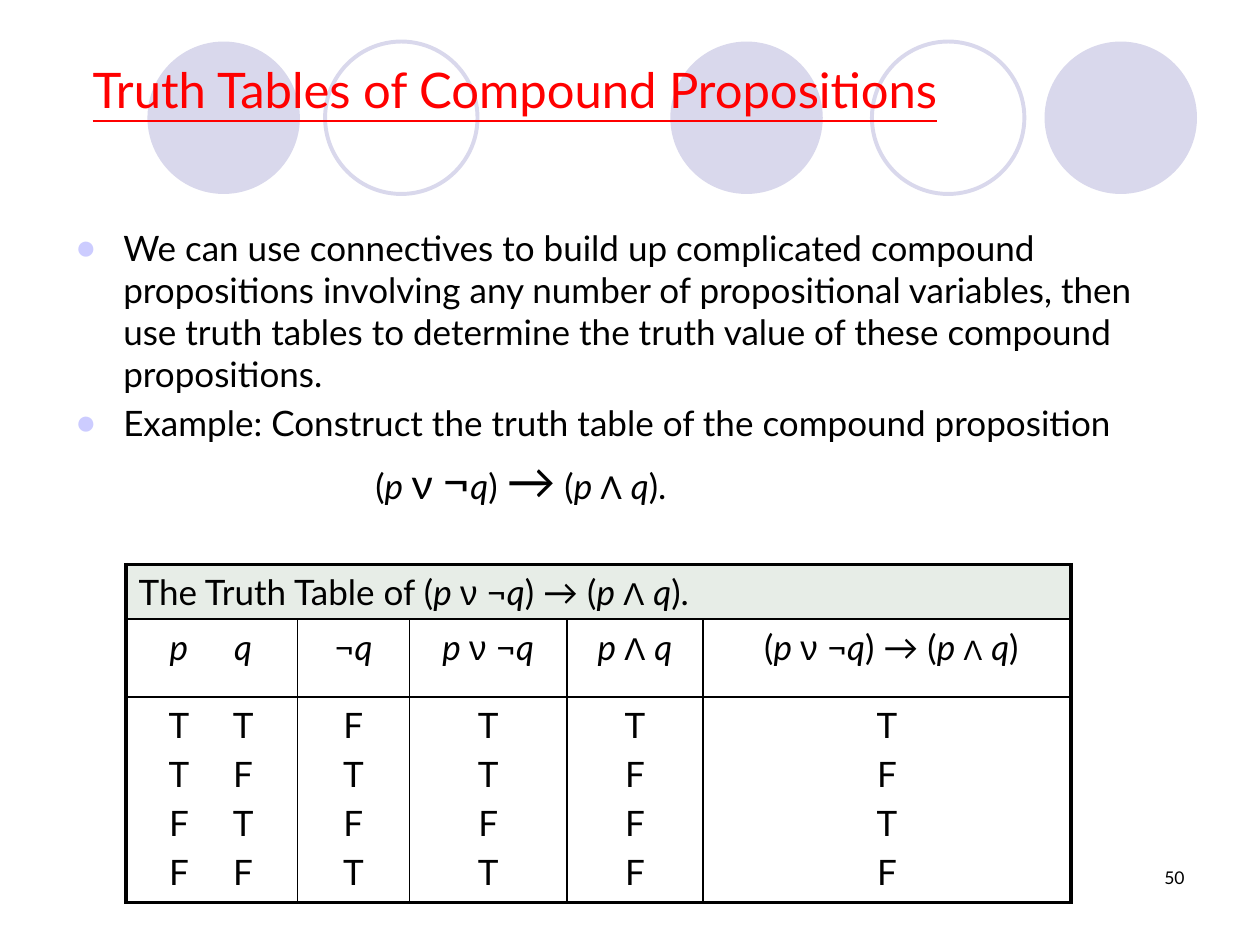
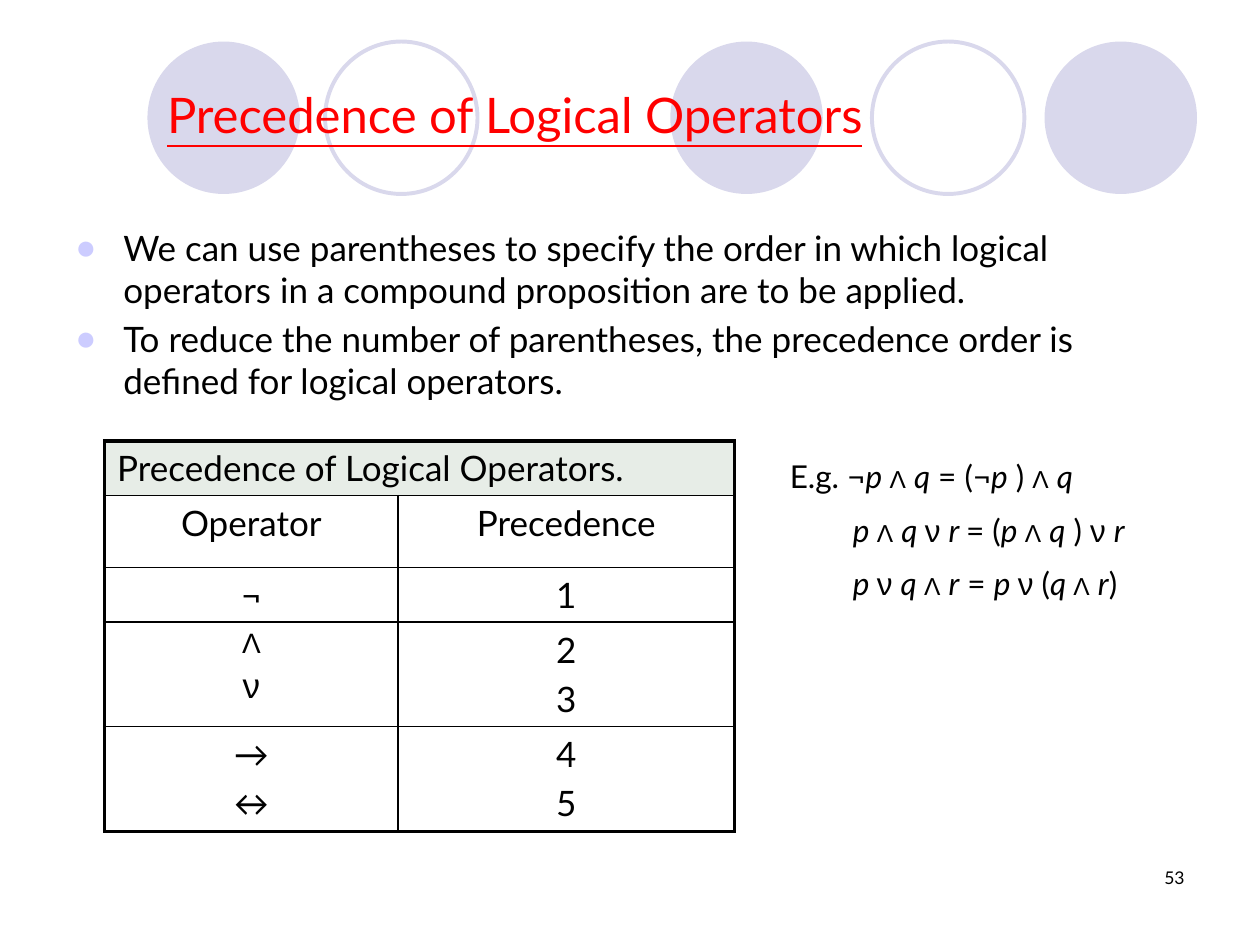
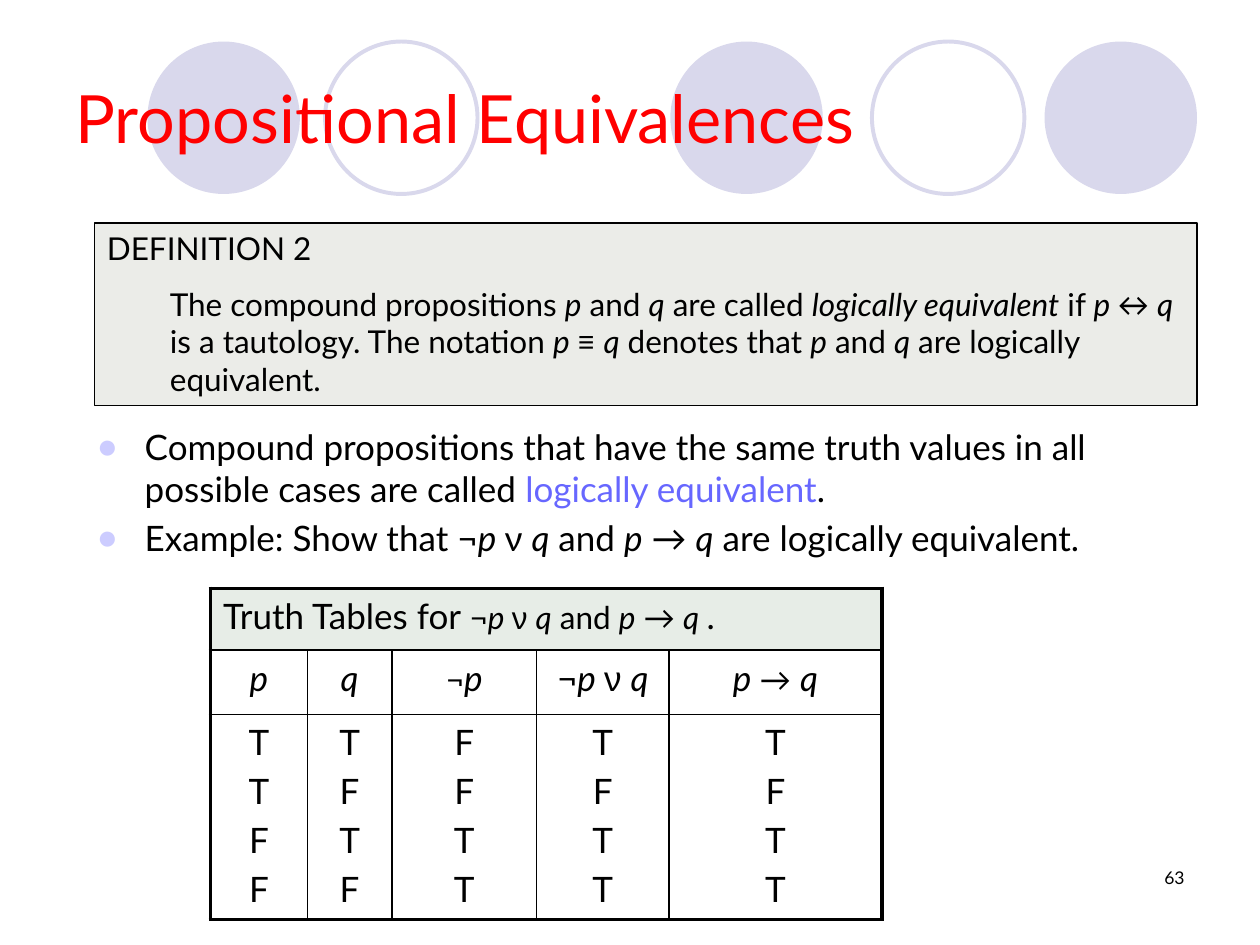
from dataclasses import dataclass
from itertools import groupby

from lxml import etree
from pptx import Presentation
from pptx.dml.color import RGBColor
from pptx.enum.shapes import MSO_SHAPE
from pptx.enum.text import MSO_ANCHOR, PP_ALIGN
from pptx.oxml.ns import qn
from pptx.util import Inches, Pt

LEFT, CENTER, RIGHT = PP_ALIGN.LEFT, PP_ALIGN.CENTER, PP_ALIGN.RIGHT
TOP, MIDDLE = MSO_ANCHOR.TOP, MSO_ANCHOR.MIDDLE
OVAL, RECTANGLE = MSO_SHAPE.OVAL, MSO_SHAPE.RECTANGLE
TITLE_ONLY = 5


@dataclass(frozen=True)
class Theme:
    font: str = "Lato"
    symbol_font: str = "Arial"
    ink: str = "000000"
    title: str = "FF0000"
    circle: str = "D9D8EC"
    bullet: str = "CCCCFF"
    accent: str = "6767FF"
    caption_fill: str = "E7EDE7"
    definition_fill: str = "EBECE8"
    large_title_size: int = 38
    title_size: int = 28
    body_size: int = 20
    note_size: int = 18
    number_size: int = 10
    small_step: int = 2
    outer_line: float = 2.25
    inner_line: float = 1
    definition_line: float = 0.75


THEME = Theme()
ITALIC, SMALL, ACCENT = "*", "~", "^"
TABLE_SYMBOLS = {"Λ": (THEME.symbol_font, -2), "ν": (THEME.symbol_font, 0)}
DISPLAY_SYMBOLS = {"Λ": (THEME.font, -2), "ν": (THEME.font, 4),
                   "¬": (THEME.font, 8), "→": (THEME.font, 8)}


def rgb(color):
    return RGBColor.from_string(color)


def add_child(parent, tag, **attributes):
    return etree.SubElement(parent, qn(tag), attributes)


def styled_characters(markup, symbols):
    active = set()
    for character in markup:
        if character in (ITALIC, SMALL, ACCENT):
            active ^= {character}
        else:
            font, step = symbols.get(character, (THEME.font, 0))
            step -= THEME.small_step if SMALL in active else 0
            yield character, (font, step, ITALIC in active, ACCENT in active)


def add_runs(paragraph, markup, size=THEME.body_size, color=THEME.ink, symbols=None):
    characters = styled_characters(markup, symbols or {})
    for (font, step, italic, accent), group in groupby(characters, lambda pair: pair[1]):
        run = paragraph.add_run()
        run.text = "".join(character for character, _ in group)
        run.font.name = font
        run.font.size = Pt(size + step)
        run.font.italic = italic
        run.font.color.rgb = rgb(THEME.accent if accent else color)


def paragraphs(frame, lines, space=0):
    for index, line in enumerate(lines):
        paragraph = frame.add_paragraph() if index else frame.paragraphs[0]
        if index:
            paragraph.space_before = Pt(space)
        yield paragraph, line


def indent(paragraph, margin, first=0):
    properties = paragraph._p.get_or_add_pPr()
    properties.set("marL", str(Inches(margin)))
    properties.set("indent", str(Inches(first)))
    return properties


def add_bullet(paragraph):
    properties = indent(paragraph, 0.38, -0.38)
    add_child(add_child(properties, "a:buClr"), "a:srgbClr", val=THEME.bullet)
    add_child(properties, "a:buFont", typeface=THEME.symbol_font)
    add_child(properties, "a:buChar", char="●")


def add_center_tabs(paragraph, stops):
    tabs = add_child(paragraph._p.get_or_add_pPr(), "a:tabLst")
    for stop in stops:
        add_child(tabs, "a:tab", pos=str(Inches(stop)), algn="ctr")


def add_text_frame(slide, box):
    frame = slide.shapes.add_textbox(*map(Inches, box)).text_frame
    frame.word_wrap = True
    return frame


def add_circle_band(slide, layout, left=1.17, top=0.33, diameter=1.21):
    for placeholder in list(layout.placeholders):
        if placeholder.placeholder_format.idx:
            layout.shapes.element.remove(placeholder.element)
    band = slide.shapes.add_group_shape()
    circles = [(0, True), (1.41, False), (4.15, True), (5.75, False), (7.12, True)]
    for offset, solid in circles:
        circle = band.shapes.add_shape(OVAL, Inches(left + offset), Inches(top),
                                       Inches(diameter), Inches(diameter))
        circle.shadow.inherit = False
        if solid:
            circle.fill.solid()
            circle.fill.fore_color.rgb = rgb(THEME.circle)
            circle.line.fill.background()
        else:
            circle.fill.background()
            circle.line.color.rgb = rgb(THEME.circle)
            circle.line.width = Pt(THEME.outer_line)
    layout.shapes.element.insert(2, band.element)


def set_title(slide, box, text, size=THEME.title_size, underline=True,
              align=CENTER, anchor=TOP):
    title = slide.shapes.title
    title.left, title.top, title.width, title.height = map(Inches, box)
    frame = title.text_frame
    frame.word_wrap = True
    frame.vertical_anchor = anchor
    paragraph = frame.paragraphs[0]
    paragraph.alignment = align
    add_runs(paragraph, text, size, THEME.title)
    paragraph.runs[0].font.underline = underline


def add_page_number(slide, number):
    paragraph = add_text_frame(slide, (7.17, 6.83, 2.33, 0.5)).paragraphs[0]
    paragraph.alignment = RIGHT
    add_runs(paragraph, number, THEME.number_size)


def add_body(slide, box, bullets, formula=None):
    frame = add_text_frame(slide, box)
    for paragraph, line in paragraphs(frame, bullets, 4):
        add_bullet(paragraph)
        add_runs(paragraph, line)
    if formula:
        paragraph = frame.add_paragraph()
        paragraph.space_before = Pt(4)
        indent(paragraph, 2.38)
        add_runs(paragraph, formula, symbols=DISPLAY_SYMBOLS)


def set_borders(cell, outer_sides):
    properties = cell._tc.get_or_add_tcPr()
    for side in "LRTB":
        width = THEME.outer_line if side in outer_sides else THEME.inner_line
        line = add_child(properties, f"a:ln{side}", w=str(Pt(width)))
        add_child(add_child(line, "a:solidFill"), "a:srgbClr", val=THEME.ink)


def fill_cell(cell, text, align, tab_stops):
    for paragraph, line in paragraphs(cell.text_frame, text.split("\n"), 4):
        if "\t" in line:
            paragraph.alignment = LEFT
            add_center_tabs(paragraph, tab_stops)
        else:
            paragraph.alignment = align
        add_runs(paragraph, line, symbols=TABLE_SYMBOLS)


def add_logic_table(slide, corner, widths, heights, caption, rows, tab_stops=()):
    row_count, column_count = len(heights), len(widths)
    table = slide.shapes.add_table(row_count, column_count, *map(Inches, corner),
                                   Inches(sum(widths)), Inches(sum(heights))).table
    table.first_row = table.horz_banding = False
    for column, width in zip(table.columns, widths):
        column.width = Inches(width)
    for row, height in zip(table.rows, heights):
        row.height = Inches(height)
    table.cell(0, 0).merge(table.cell(0, column_count - 1))
    for r in range(row_count):
        for c in range(column_count):
            cell = table.cell(r, c)
            edges = {"L": c == 0, "R": r == 0 or c == column_count - 1,
                     "T": r == 0, "B": r == row_count - 1}
            set_borders(cell, [side for side, outer in edges.items() if outer])
            if r == 0:
                cell.fill.solid()
                cell.fill.fore_color.rgb = rgb(THEME.caption_fill)
            else:
                cell.fill.background()
                fill_cell(cell, rows[r - 1][c], CENTER, tab_stops)
    fill_cell(table.cell(0, 0), caption, LEFT, tab_stops)


def stacked(*columns):
    return ["\n".join(column) for column in columns]


def add_examples(slide, box, lines):
    frame = add_text_frame(slide, box)
    for index, (paragraph, line) in enumerate(paragraphs(frame, lines, 9)):
        if index:
            indent(paragraph, 0.5)
        add_runs(paragraph, line, THEME.note_size, symbols=TABLE_SYMBOLS)


def add_definition(slide, box, heading, statement):
    panel = slide.shapes.add_shape(RECTANGLE, *map(Inches, box))
    panel.shadow.inherit = False
    panel.fill.solid()
    panel.fill.fore_color.rgb = rgb(THEME.definition_fill)
    panel.line.color.rgb = rgb(THEME.ink)
    panel.line.width = Pt(THEME.definition_line)
    frame = panel.text_frame
    frame.word_wrap = True
    frame.vertical_anchor = TOP
    for paragraph, line in paragraphs(frame, [heading, statement], 10):
        paragraph.alignment = LEFT
        add_runs(paragraph, line, THEME.note_size)
    indent(frame.paragraphs[1], 0.5)


def build_compound_slide(slide):
    set_title(slide, (0.5, 0.42, 7.17, 0.57), "Truth Tables of Compound Propositions")
    add_body(slide, (0.5, 1.75, 8.92, 2.75), [
        "We can use connectives to build up complicated compound propositions "
        "involving any number of propositional variables, then use truth tables to "
        "determine the truth value of these compound propositions.",
        "Example: Construct the truth table of the compound proposition",
    ], "(*p *ν ¬*q*) → (*p *Λ *q*).")
    add_logic_table(
        slide, (1, 4.48), [1.36, 0.89, 1.25, 1.08, 2.92], [0.43, 0.62, 1.63],
        "The Truth Table of (*p *ν ¬*q*) → (*p *Λ *q*).",
        [["*\tp\tq*", "¬*q*", "*p *ν ¬*q*", "*p *Λ *q*",
          " (*p *ν ¬*q*) → (*p *~Λ~ *q*)"],
         stacked(["\tT\tT", "\tT\tF", "\tF\tT", "\tF\tF"],
                 "FTFT", "TTFT", "TFFF", "TFTF")],
        tab_stops=(0.32, 0.83))
    add_page_number(slide, "50")


def build_precedence_slide(slide):
    set_title(slide, (0.5, 0.62, 7.17, 0.57), "Precedence of Logical Operators")
    add_body(slide, (0.5, 1.75, 8.92, 2.75), [
        "We can use parentheses to specify the order in which logical operators in a "
        "compound proposition are to be applied.",
        "To reduce the number of parentheses, the precedence order is defined for "
        "logical operators.",
    ])
    add_logic_table(
        slide, (0.83, 3.5), [2.33, 2.67], [0.43, 0.57, 0.43, 0.83, 0.83],
        "Precedence of Logical Operators.",
        [["Operator", "Precedence"], ["¬", "1"],
         ["~Λ~\nν", "2\n3"], ["→\n↔", "4\n5"]])
    add_page_number(slide, "53")
    add_examples(slide, (6.17, 3.58, 3.67, 1.3), [
        "E.g. ¬*p *~Λ~ *q* = (¬*p* ) ~Λ~ *q*",
        "*p *~Λ~ *q *ν *r *= (*p *~Λ~ *q* ) ν *r*",
        "*p *ν *q *~Λ~ *r* = *p *ν (*q *~Λ~ *r*)",
    ])


def build_equivalence_slide(slide):
    set_title(slide, (0.5, 0.3, 9, 1.25), "Propositional Equivalences",
              THEME.large_title_size, False, LEFT, MIDDLE)
    add_body(slide, (0.67, 3.33, 9.08, 1.42), [
        "Compound propositions that have the same truth values in all possible cases "
        "are called ^logically equivalent^.",
        "Example: Show that ¬*p *ν *q* and *p* → *q* are logically equivalent.",
    ])
    add_logic_table(
        slide, (1.67, 4.67), [0.77, 0.67, 1.15, 1.05, 1.69], [0.49, 0.51, 1.63],
        "Truth Tables for ~¬*p *ν *q* and *p* → *q *~.",
        [["*p*", "*q*", "~¬~*p*", "¬*p *ν *q*", "*p *~→~ *q*"],
         stacked("TTFF", "TFTF", "FFTT", "TFTT", "TFTT")])
    add_page_number(slide, "63")
    add_definition(
        slide, (0.75, 1.77, 8.75, 1.45), "DEFINITION 2",
        "The compound propositions *p* and *q* are called *logically equivalent* if "
        "*p *↔ *q* is a tautology. The notation *p *≡ *q* denotes that *p* and *q* "
        "are logically equivalent.")


def main():
    deck = Presentation()
    deck.slide_width, deck.slide_height = Inches(10), Inches(7.5)
    layout = deck.slide_layouts[TITLE_ONLY]
    builders = [build_compound_slide, build_precedence_slide, build_equivalence_slide]
    slides = [deck.slides.add_slide(layout) for _ in builders]
    add_circle_band(slides[0], layout)
    for build, slide in zip(builders, slides):
        build(slide)
    deck.save("out.pptx")


if __name__ == "__main__":
    main()
